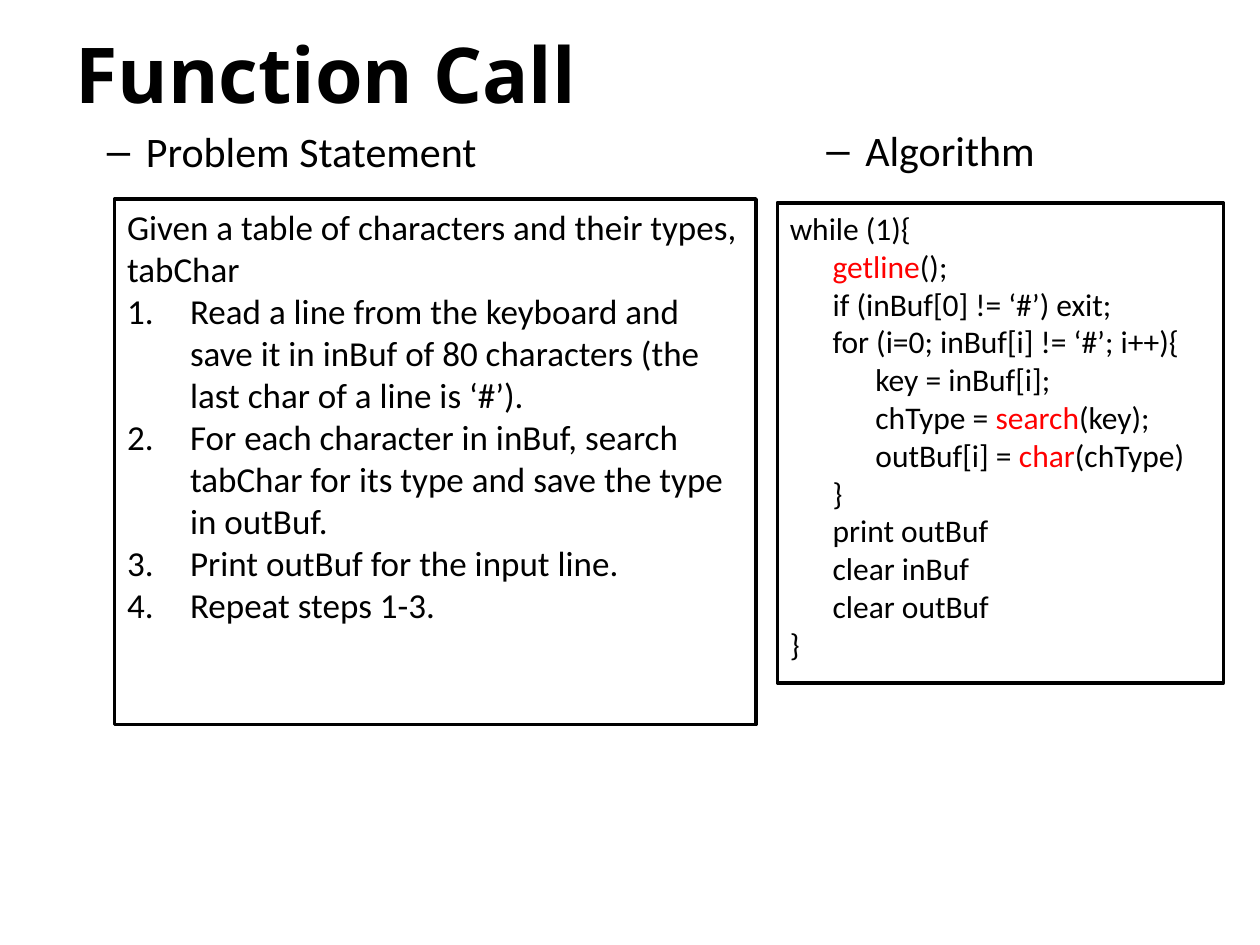
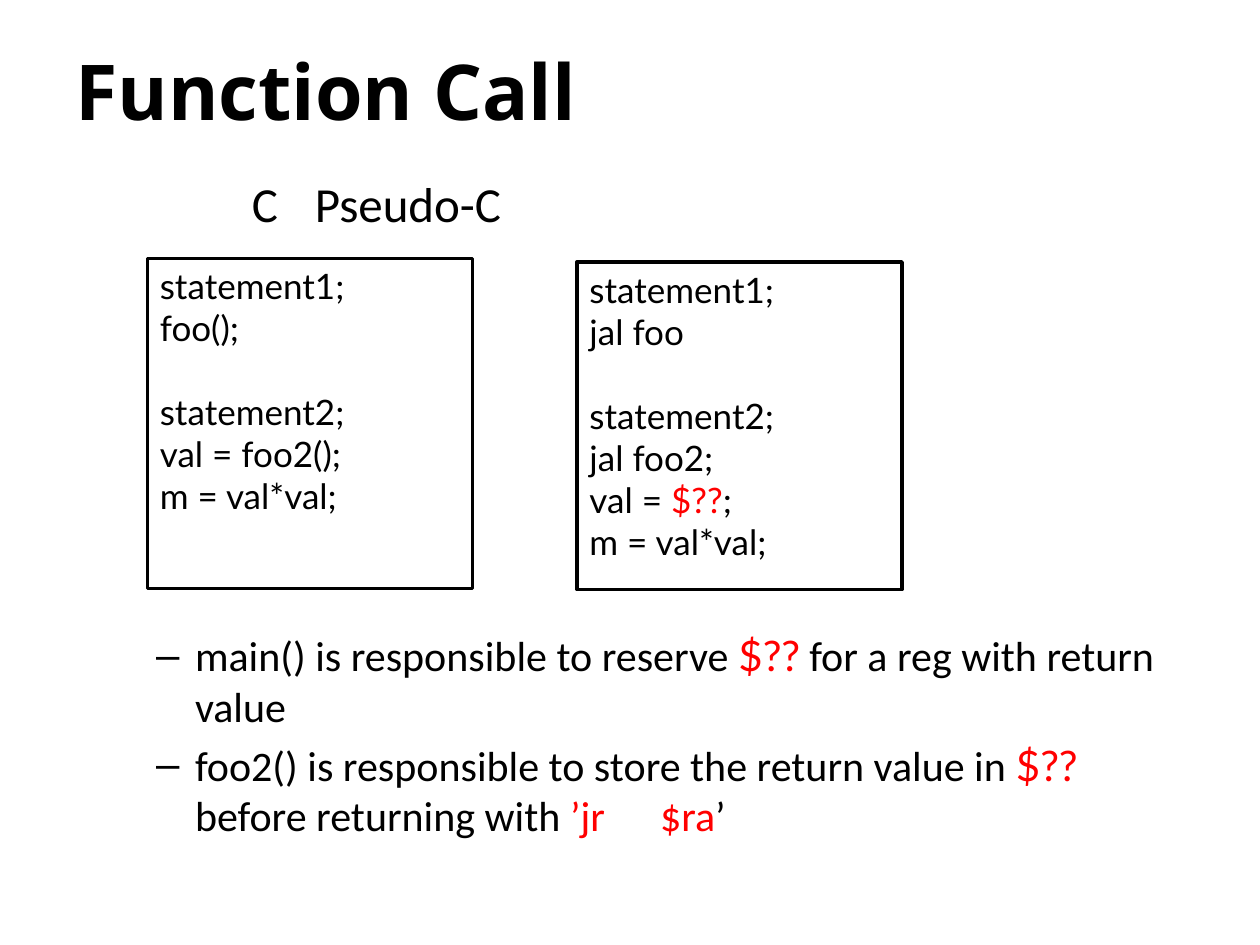
from dataclasses import dataclass, field
from typing import Optional

from lxml import etree
from pptx import Presentation
from pptx import util as u
from pptx.dml.color import RGBColor
from pptx.enum import shapes, text
from pptx.oxml import ns

BLACK, WHITE, RED = "000000", "FFFFFF", "FF0000"
HEADING, BODY, CODE = "Open Sans", "Calibri", "Lato"
COLUMNS, ROWS = 100, 75  # grid cells across and down the slide
CODE_STEP = 3.4          # columns per level of code indent


def color(value):
    return RGBColor.from_string(value)


@dataclass
class Span:
    """A run of text; whatever is None comes from its box."""
    text: str
    color: str = BLACK
    font: Optional[str] = None
    size: Optional[int] = None


@dataclass
class Line:
    """A paragraph; indent and hang are in columns, before is in points."""
    spans: list = field(default_factory=list)
    indent: float = 0
    hang: float = 0
    before: float = 0
    bullet: str = ""
    tab: float = 0


def line(*spans, **layout):
    return Line([Span(s) if isinstance(s, str) else s for s in spans], **layout)


def red(words, **style):
    return Span(words, RED, **style)


def dash(*spans):
    return line(*spans, indent=3.1, hang=3.1, before=4.8, bullet="–")


def step(words):
    return line(words, indent=5, hang=5, bullet="number")


def code(level, *spans):
    return line(*spans, indent=level * CODE_STEP)


class Builder:
    def __init__(self):
        self.deck = Presentation()
        self.deck.slide_width, self.deck.slide_height = u.Inches(10), u.Inches(7.5)
        self.slide = None

    def columns(self, count):
        return u.Emu(round(self.deck.slide_width * count / COLUMNS))

    def rows(self, count):
        return u.Emu(round(self.deck.slide_height * count / ROWS))

    def place(self, at):
        left, top, width, height = at
        return self.columns(left), self.rows(top), self.columns(width), self.rows(height)

    def page(self, title_top):
        self.slide = self.deck.slides.add_slide(self.deck.slide_layouts[6])
        background = self.slide.background.fill
        background.solid()
        background.fore_color.rgb = color(WHITE)
        self.label((5, title_top, 90, 12.5), [line("Function Call")], 44, HEADING, bold=True)

    def label(self, at, lines, size, font=BODY, bold=False):
        box = self.slide.shapes.add_textbox(*self.place(at))
        self.fill_text(box, lines, size, font, bold)

    def panel(self, at, lines, size, font=BODY):
        box = self.slide.shapes.add_shape(shapes.MSO_SHAPE.RECTANGLE, *self.place(at))
        box.shadow.inherit = False
        box.fill.solid()
        box.fill.fore_color.rgb = color(WHITE)
        box.line.color.rgb = color(BLACK)
        box.line.width = u.Pt(2)
        self.fill_text(box, lines, size, font)

    def fill_text(self, box, lines, size, font, bold=False):
        frame = box.text_frame
        frame.word_wrap = True
        frame.vertical_anchor = text.MSO_ANCHOR.TOP
        for index, entry in enumerate(lines):
            para = frame.add_paragraph() if index else frame.paragraphs[0]
            para.alignment = text.PP_ALIGN.LEFT
            para.space_before = u.Pt(entry.before)
            self.lay_out(para, entry)
            for span in entry.spans:
                run = para.add_run()
                run.text = span.text
                run.font.name = span.font or font
                run.font.size = u.Pt(span.size or size)
                run.font.bold = bold
                run.font.color.rgb = color(span.color)

    def lay_out(self, para, entry):
        """Indents, bullet and tab stop of one paragraph."""
        props = para._p.get_or_add_pPr()
        props.set("marL", str(self.columns(entry.indent)))
        props.set("indent", str(self.columns(-entry.hang)))
        if entry.bullet == "number":
            etree.SubElement(props, ns.qn("a:buAutoNum"), type="arabicPeriod")
        elif entry.bullet:
            etree.SubElement(props, ns.qn("a:buFont"), typeface="Arial")
            etree.SubElement(props, ns.qn("a:buChar"), char=entry.bullet)
        else:
            etree.SubElement(props, ns.qn("a:buNone"))
        if entry.tab:
            stops = etree.SubElement(props, ns.qn("a:tabLst"))
            etree.SubElement(stops, ns.qn("a:tab"), pos=str(self.columns(entry.tab)), algn="l")


def problem_slide(builder):
    builder.page(title_top=1.6)

    # Problem statement
    builder.panel((9.1, 15.8, 50.9, 41.7), [
        line("Given a table of characters and their types, tabChar"),
        step("Read a line from the keyboard and save it in inBuf of 80 characters "
             "(the last char of a line is ‘#’)."),
        step("For each character in inBuf, search tabChar for its type "
             "and save the type in outBuf."),
        step("Print outBuf for the input line."),
        step("Repeat steps 1-3."),
    ], 20)

    # Algorithm
    builder.panel((61.7, 16.1, 35.4, 38.1), [
        code(0, "while (1){"),
        code(1, red("getline"), "();"),
        code(1, "if (inBuf[0] != ‘#’) exit;"),
        code(1, "for (i=0; inBuf[i] != ‘#’; i++){"),
        code(2, "key = inBuf[i];"),
        code(2, "chType = ", red("search"), "(key);"),
        code(2, "outBuf[i] = ", red("char"), "(chType)"),
        code(1, "}"),
        code(1, "print outBuf"),
        code(1, "clear inBuf"),
        code(1, "clear outBuf"),
        code(0, "}"),
    ], 18)

    # Headings over the two panels
    builder.label((7.5, 9.5, 81.7, 5.7), [dash("Problem Statement")], 24)
    builder.label((64.6, 9.4, 24.6, 5.7), [dash("Algorithm")], 24)


def translation_slide(builder):
    builder.page(title_top=3)

    # Headings over the two panels
    builder.label((18.1, 13.3, 63.8, 7.5),
                  [line("C\tPseudo-C", indent=0.9, before=5.6, tab=30)], 28)

    # The same program in C and in pseudo-C
    second_part = line("statement2;", before=24)
    builder.panel((11.7, 20.5, 25.8, 26.2), [
        line("statement1;"),
        line("foo();"),
        second_part,
        line("val = foo2();"),
        line("m = val*val;"),
    ], 20, CODE)
    builder.panel((45.8, 20.8, 25.8, 26), [
        line("statement1;"),
        line("jal foo"),
        second_part,
        line("jal foo2;"),
        line("val = ", red("$??"), ";"),
        line("m = val*val;"),
    ], 20, CODE)

    # Who handles the return value
    builder.label((11.4, 49.5, 81.7, 20.3), [
        dash("main() is responsible to reserve ", red("$??", font=CODE),
             Span(" ", font=CODE, size=20), "for a reg with return value"),
        dash("foo2() is responsible to store the return value in ",
             red("$?? ", font=CODE), "before returning with ", red("’jr\t$ra"), "’"),
    ], 24)


def main():
    builder = Builder()
    problem_slide(builder)
    translation_slide(builder)
    builder.deck.save("out.pptx")


if __name__ == "__main__":
    main()
